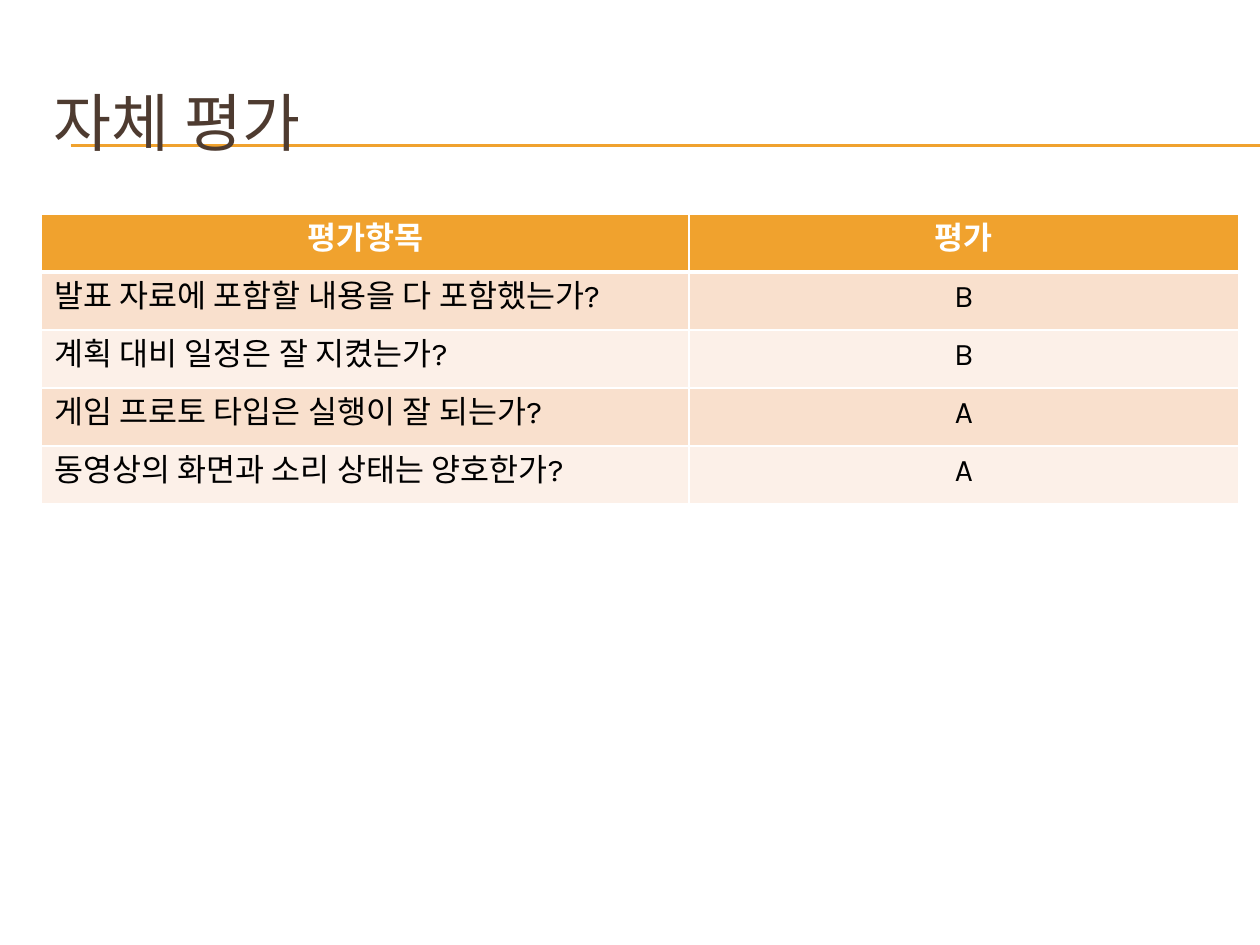
from lxml import etree
from pptx import Presentation
from pptx import util as u
from pptx.dml.color import RGBColor
from pptx.enum import shapes, text
from pptx.oxml import ns

COLORS = {"accent": "F0A22E", "title": "4E3B30", "white": "FFFFFF",
          "black": "000000", "band_dark": "F9E0CD", "band_light": "FCF0E8"}
FONT = "Karla"
HEADER = ("평가항목", "평가")
RATINGS = [
    ("발표 자료에 포함할 내용을 다 포함했는가?", "B"),
    ("계획 대비 일정은 잘 지켰는가?", "B"),
    ("게임 프로토 타입은 실행이 잘 되는가?", "A"),
    ("동영상의 화면과 소리 상태는 양호한가?", "A"),
]


def color(name):
    return RGBColor.from_string(COLORS[name])


def style(para, size, color_name, bold=False):
    para.font.name = FONT
    para.font.size = u.Pt(size)
    para.font.bold = bold
    para.font.color.rgb = color(color_name)
    # Hangul and the spaces between its words use the same font
    latin = para._p.find(".//" + ns.qn("a:latin"))
    latin.addnext(etree.Element(ns.qn("a:ea"), typeface=FONT))


def add_rule(page, left, top, right):
    rule = page.shapes.add_connector(
        shapes.MSO_CONNECTOR.STRAIGHT,
        u.Inches(left), u.Inches(top), u.Inches(right), u.Inches(top))
    rule.line.color.rgb = color("accent")
    rule.line.width = u.Pt(0.75)
    etree.SubElement(rule._element.spPr, ns.qn("a:effectLst"))


def add_title(page, left, top, width, height):
    # Double rule running to the right edge of the slide
    for offset in (0.65, 0.66):
        add_rule(page, left + 0.23, top + offset, 10)
    # Heading
    box = page.shapes.add_textbox(*map(u.Inches, (left, top, width, height)))
    frame = box.text_frame
    frame.word_wrap = True
    frame.vertical_anchor = text.MSO_ANCHOR.MIDDLE
    frame.text = "자체 평가"
    style(frame.paragraphs[0], 36, "title")


def set_borders(cell, bottom):
    properties = cell._tc.get_or_add_tcPr()
    widths = {"lnL": 1, "lnR": 1, "lnT": 1, "lnB": bottom}
    for index, (side, width) in enumerate(widths.items()):
        line = etree.Element(ns.qn("a:" + side), w=str(u.Pt(width)))
        fill = etree.SubElement(line, ns.qn("a:solidFill"))
        etree.SubElement(fill, ns.qn("a:srgbClr"), val=COLORS["white"])
        properties.insert(index, line)


def add_ratings(page, left, top, width, height):
    rows = [HEADER] + RATINGS
    table = page.shapes.add_table(
        len(rows), 2, *map(u.Inches, (left, top, width, height))).table
    table.columns[0].width = u.Inches(5.14)
    table.columns[1].width = u.Inches(width - 5.14)
    for r, row in enumerate(rows):
        header = r == 0
        band = "accent" if header else "band_dark" if r % 2 else "band_light"
        for c, words in enumerate(row):
            cell = table.cell(r, c)
            cell.text = words
            cell.fill.solid()
            cell.fill.fore_color.rgb = color(band)
            set_borders(cell, 3 if header else 1)
            para = cell.text_frame.paragraphs[0]
            style(para, 18, "white" if header else "black", header)
            if header or c == 1:
                para.alignment = text.PP_ALIGN.CENTER


deck = Presentation()
deck.slide_width, deck.slide_height = u.Inches(10), u.Inches(7.5)
page = deck.slides.add_slide(deck.slide_layouts[6])
add_title(page, 0.33, 0.5, 9.5, 0.92)
add_ratings(page, 0.33, 1.7, 9.5, 2.3)
deck.save("out.pptx")
